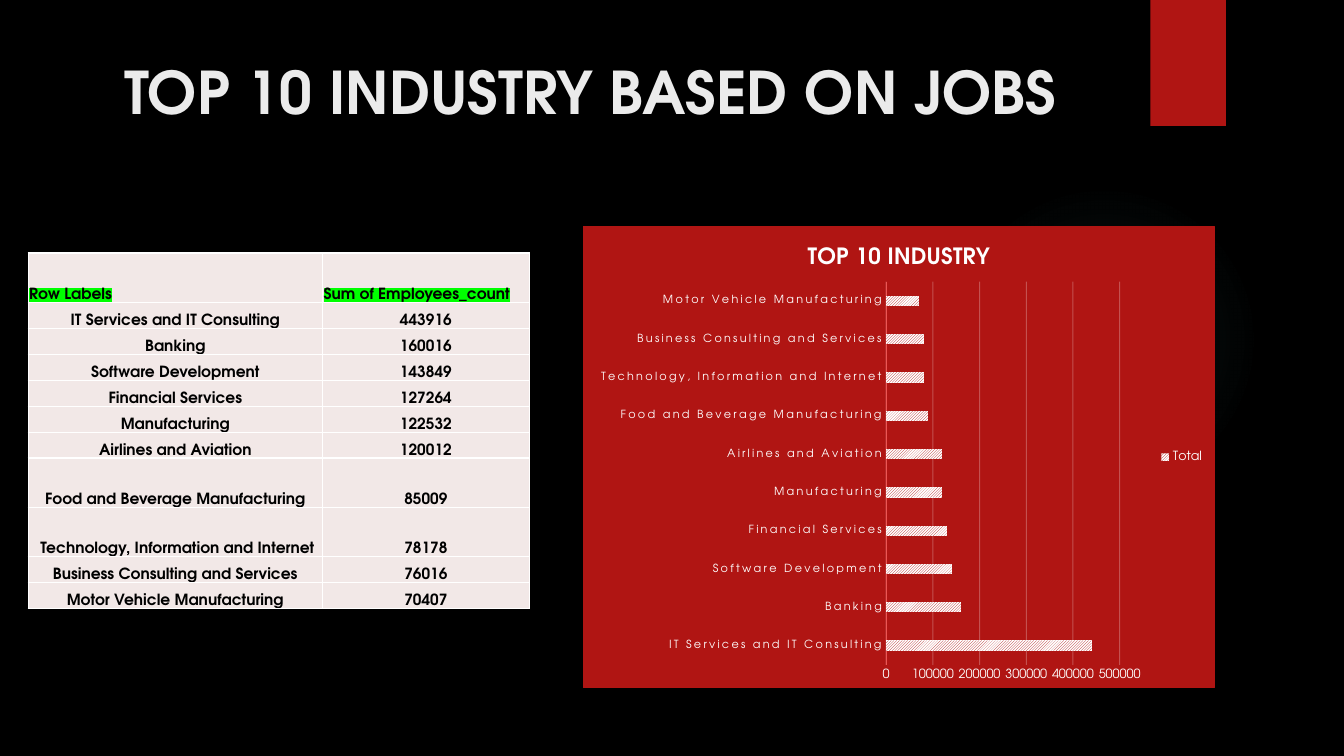
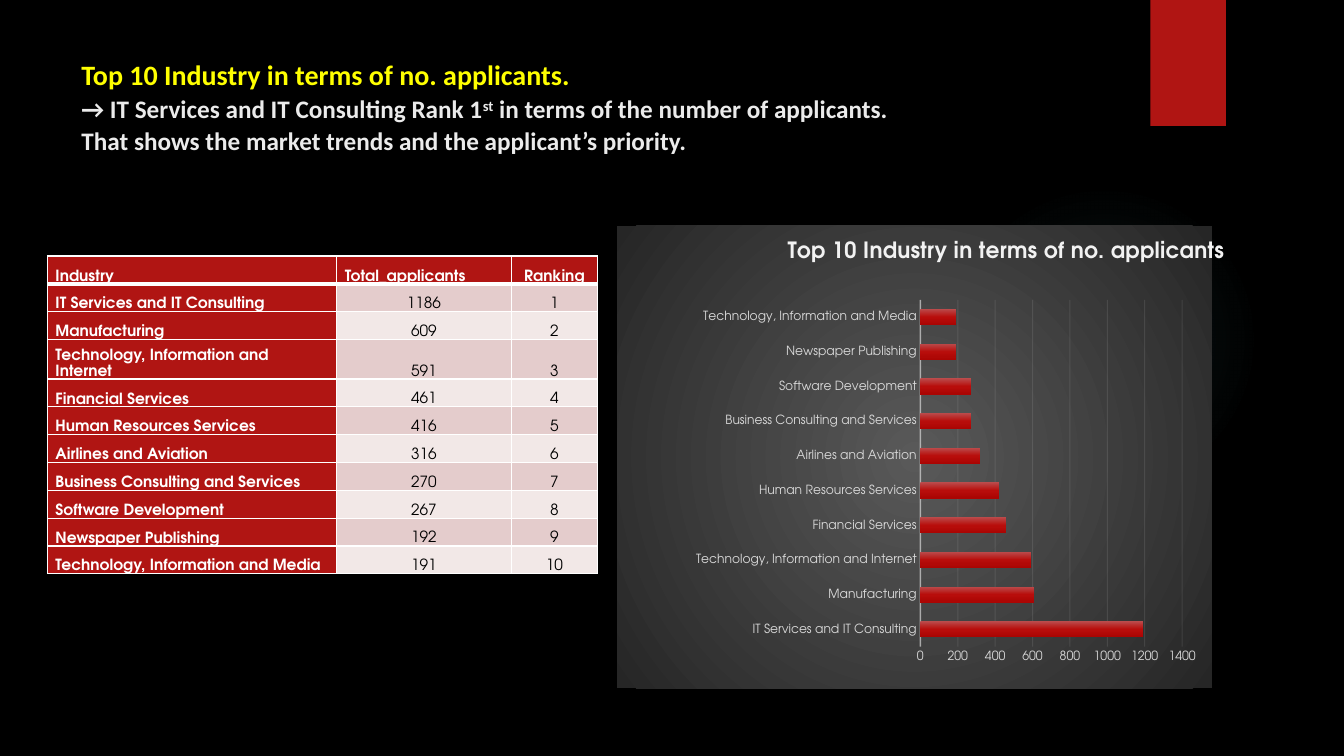
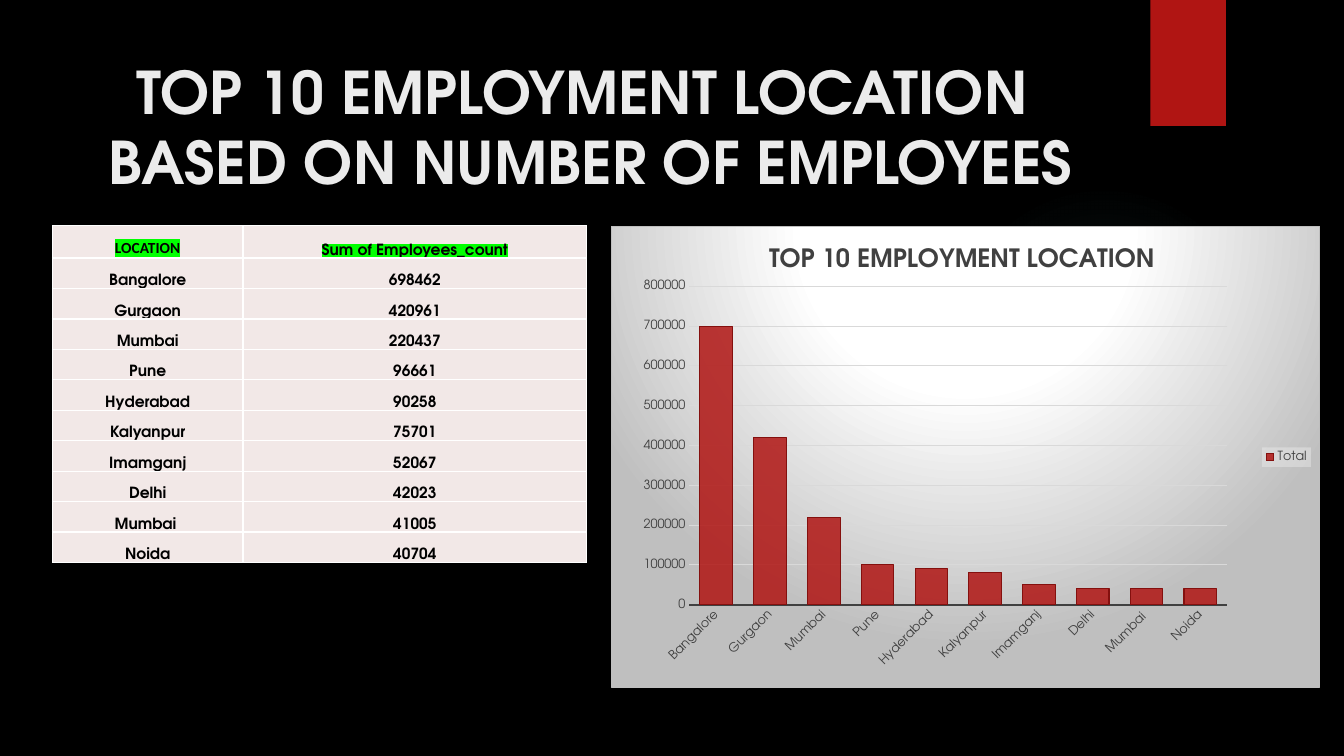
from lxml import etree
from pptx import Presentation
from pptx.chart.data import CategoryChartData
from pptx.dml.color import RGBColor
from pptx.enum.chart import XL_CHART_TYPE as Kind, XL_LEGEND_POSITION as Side, XL_TICK_MARK as Tick
from pptx.enum.dml import MSO_PATTERN as Pattern
from pptx.enum.shapes import MSO_SHAPE as Shape
from pptx.enum.text import MSO_ANCHOR as Anchor, PP_ALIGN as Align
from pptx.oxml.ns import qn
from pptx.util import Inches, Pt

FACE = "TeX Gyre Adventor"
RED, PALE, ROSE, WHITE, BLACK = "B01513", "F2E8E7", "E4CCCC", "FFFFFF", "000000"
LIGHT, DARK, LIME = "EBEBEB", "404040", "00FF00"

JOBS = [
    ("IT Services and IT Consulting", 443916),
    ("Banking", 160016),
    ("Software Development", 143849),
    ("Financial Services", 127264),
    ("Manufacturing", 122532),
    ("Airlines and Aviation", 120012),
    ("Food and Beverage Manufacturing", 85009),
    (" Technology, Information and Internet", 78178),
    ("Business Consulting and Services", 76016),
    ("Motor Vehicle Manufacturing", 70407),
]
SEEKERS = [
    ("IT Services and IT Consulting", 1186),
    ("Manufacturing", 609),
    ("Technology, Information and Internet", 591),
    ("Financial Services", 461),
    ("Human Resources Services", 416),
    ("Airlines and Aviation", 316),
    ("Business Consulting and Services", 270),
    ("Software Development", 267),
    ("Newspaper Publishing", 192),
    ("Technology, Information and Media", 191),
]
CITIES = [
    ("Bangalore", 698462),
    ("Gurgaon", 420961),
    ("Mumbai", 220437),
    ("Pune", 96661),
    ("Hyderabad", 90258),
    ("Kalyanpur", 75701),
    ("Imamganj", 52067),
    ("Delhi", 42023),
    ("Mumbai ", 41005),
    ("Noida", 40704),
]
BRIEF = [
    ("Top 10 Industry in terms of no. applicants.", 20, "FFFF00"),
    ("→ IT Services and IT Consulting Rank 1", 18, LIGHT),
    ("st", 18, LIGHT),
    (" in terms of the number of applicants.", 18, LIGHT),
    ("That shows the market trends and the applicant’s priority.", 18, LIGHT),
]
BREAKS = (0, 3)


def rgb(code):
    return RGBColor.from_string(code)


def style(font, size, color, bold=False, face=FACE):
    font.name, font.size, font.bold = face, Pt(size), bold
    font.color.rgb = rgb(color)


def sub(node, tag, **attrs):
    kid = etree.SubElement(node, qn(tag))
    for key, value in attrs.items():
        kid.set(key, str(value))
    return kid


def fade(node, percent):
    for color in node.iter(qn("a:srgbClr")):
        sub(color, "a:alpha", val=percent * 1000)


def blend(stops, rect=None, angle=90):
    grad = etree.Element(qn("a:gradFill"), rotWithShape="1")
    row = sub(grad, "a:gsLst")
    for pos, color, alpha in stops:
        stop = sub(row, "a:gs", pos=pos * 1000)
        sub(stop, "a:srgbClr", val=color)
        fade(stop, alpha)
    if rect:
        sides = {side: n * 1000 for side, n in zip("ltrb", rect)}
        sub(sub(grad, "a:path", path="circle"), "a:fillToRect", **sides)
    else:
        sub(grad, "a:lin", ang=angle * 60000, scaled=0)
    return grad


def swap(props, grad):
    props.replace(props.find(qn("a:solidFill")), grad)


def deck():
    prs = Presentation()
    prs.slide_width, prs.slide_height = Inches(13.33), Inches(7.5)
    back = prs.slide_master.background.fill
    back.solid()
    back.fore_color.rgb = rgb(BLACK)
    return prs


def page(prs):
    slide = prs.slides.add_slide(prs.slide_layouts[6])
    glow = slide.shapes.add_shape(
        Shape.OVAL, Inches(9.41), Inches(1.83), Inches(3.08), Inches(3.08))
    tab = slide.shapes.add_shape(
        Shape.RECTANGLE, Inches(11.41), 0, Inches(0.75), Inches(1.25))
    for shape in (glow, tab):
        shape.shadow.inherit = False
        shape.fill.solid()
        shape.fill.fore_color.rgb = rgb(RED)
        shape.line.fill.background()
    teal = "50B9C1"
    stops = [(0, teal, 7), (36, teal, 6), (69, teal, 0)]
    swap(glow.element.spPr, blend(stops, (50, 50, 50, 50)))
    box = slide.shapes.add_textbox(
        Inches(0.71), Inches(0.5), Inches(10.29), Inches(1.53))
    box.text_frame.word_wrap = True
    return slide, box.text_frame.paragraphs[0]


def head(par, text):
    par.text = text
    par.alignment = Align.CENTER
    style(par.font, 42, LIGHT, True)


def brief(par):
    par.line_spacing, par.space_after = 1.07, Pt(8)
    for i, (text, size, color) in enumerate(BRIEF):
        run = par.add_run()
        run.text = text
        style(run.font, size, color, True, "Calibri")
        if text == "st":
            run.font._element.set("baseline", "30000")
        if i in BREAKS:
            par.add_line_break()


def edge(cell, low=1):
    props = cell._tc.get_or_add_tcPr()
    for tag, width in (("a:lnL", 1), ("a:lnR", 1), ("a:lnT", 1), ("a:lnB", low)):
        line = sub(props, tag, w=Pt(width))
        sub(sub(line, "a:solidFill"), "a:srgbClr", val=WHITE)


def share(total, fixed, count=11):
    rest = (total - sum(fixed.values())) / (count - len(fixed))
    return [fixed.get(r, rest) for r in range(count)]


def grid(slide, left, top, cols, heights, rows, pad):
    frame = slide.shapes.add_table(
        len(rows), len(cols), Inches(left), Inches(top),
        Inches(sum(cols)), Inches(sum(heights)))
    table = frame.table
    table.first_row = table.horz_banding = False
    for col, width in zip(table.columns, cols):
        col.width = Inches(width)
    for row, height in zip(table.rows, heights):
        row.height = Inches(height)
    for r, row in enumerate(rows):
        for c, value in enumerate(row):
            cell = table.cell(r, c)
            cell.vertical_anchor = Anchor.BOTTOM
            cell.margin_left = cell.margin_right = Inches(pad)
            cell.margin_top = cell.margin_bottom = 0
            par = cell.text_frame.paragraphs[0]
            par.text = str(value)
            yield r, c, cell, par


def paint(cell, color, low=1):
    edge(cell, low)
    cell.fill.solid()
    cell.fill.fore_color.rgb = rgb(color)


def plain(slide, left, top, cols, heights, rows, align, first):
    for r, c, cell, par in grid(slide, left, top, cols, heights, rows, 0.01):
        paint(cell, PALE)
        par.alignment = Align.CENTER if r else align
        style(par.font, 11, BLACK, True, FACE if r or c else first)
        if not r:
            mark = sub(par.runs[0].font._element, "a:highlight")
            sub(mark, "a:srgbClr", val=LIME)


def ranked(slide, left, top, cols, heights, rows):
    for r, c, cell, par in grid(slide, left, top, cols, heights, rows, 0.08):
        key = r == 0 or c == 0
        paint(cell, RED if key else (PALE, ROSE)[r % 2], 1 if r else 3)
        par.alignment = Align.CENTER if c == 2 or not key else Align.LEFT
        par.line_spacing, par.space_after = 1.07, Pt(8)
        style(par.font, 11, WHITE if key else BLACK, key)


def place(node, spot):
    old = node.find(qn("c:layout"))
    if old is None:
        old = etree.Element(qn("c:layout"))
        rich = node.find(qn("c:tx"))
        if rich is not None:
            rich.addnext(old)
        else:
            node.insert(0, old)
    hand = sub(old, "c:manualLayout")
    if len(spot) == 4:
        sub(hand, "c:layoutTarget", val="inner")
    for tag in ("c:xMode", "c:yMode"):
        sub(hand, tag, val="edge")
    for tag, value in zip(("c:x", "c:y", "c:w", "c:h"), spot):
        sub(hand, tag, val=value)


def graph(slide, kind, left, width, data, digits, name, title, gap, lap, ink,
          rule, mesh, fill, spot, border=None, legend=True, small=9):
    feed = CategoryChartData()
    feed.categories = [label for label, _ in data]
    feed.add_series(name, [round(value, digits) for _, value in data])
    chart = slide.shapes.add_chart(
        kind, Inches(left), Inches(2.24), Inches(width), Inches(4.59), feed).chart
    style(chart.font, 10, WHITE)
    text, size, color, space = title
    par = chart.chart_title.text_frame.paragraphs[0]
    par.text = text
    style(par.font, size, color, True)
    par.font._element.set("spc", str(space))
    plot = chart.plots[0]
    plot.gap_width, plot.overlap, plot.vary_by_categories = gap, lap, False
    cat, val = chart.category_axis, chart.value_axis
    for axis, size in ((cat, small), (val, 9)):
        axis.major_tick_mark = axis.minor_tick_mark = Tick.NONE
        style(axis.tick_labels.font, size, ink)
    val.format.line.fill.background()
    val.has_major_gridlines = True
    for form, (color, weight, alpha) in (
            (cat.format, rule), (val.major_gridlines.format, mesh)):
        form.line.color.rgb = rgb(color)
        form.line.width = Pt(weight)
        fade(form.line._get_or_add_ln(), alpha)
    chart.has_legend = legend
    if legend:
        chart.legend.position = Side.RIGHT
        chart.legend.include_in_layout = False
        style(chart.legend.font, 9, ink)
    root = chart.element.find(qn("c:chart"))
    place(root.find(qn("c:plotArea")), spot)
    props = etree.Element(qn("c:spPr"))
    props.append(fill)
    line = sub(props, "a:ln", w=Pt(0.75))
    if border:
        sub(sub(line, "a:solidFill"), "a:srgbClr", val=border)
    else:
        sub(line, "a:noFill")
    root.addnext(props)
    bars = plot.series[0].format
    bars.fill.solid()
    bars.fill.fore_color.rgb = rgb(RED)
    return chart, bars


def look(chart):
    return chart.element.find(".//" + qn("c:ser")).find(qn("c:spPr"))


def jobs(prs):
    slide, par = page(prs)
    head(par, "TOP 10 INDUSTRY BASED ON JOBS")
    flat = etree.Element(qn("a:solidFill"))
    sub(flat, "a:srgbClr", val=RED)
    chart, bars = graph(
        slide, Kind.BAR_CLUSTERED, 5.78, 6.27, JOBS, -4, "Total",
        ("TOP 10 INDUSTRY", 16, WHITE, 30), 269, -20, WHITE,
        ("ED5654", 0.25, 100), (WHITE, 0.75, 25), flat,
        (0.48, 0.12, 0.37, 0.83), RED, small=8)
    chart.category_axis.tick_labels.font._element.set("spc", "150")
    bars.fill.patterned()
    bars.fill.pattern = Pattern.LIGHT_UPWARD_DIAGONAL
    bars.fill.fore_color.rgb = rgb(RED)
    bars.fill.back_color.rgb = rgb(WHITE)
    plain(slide, 0.28, 2.51, (2.92, 2.05), share(3.53, {0: 0.49, 7: 0.49, 8: 0.49}),
          [("Row Labels", "Sum of Employees_count")] + JOBS, Align.LEFT, FACE)


def seekers(prs):
    slide, par = page(prs)
    brief(par)
    fill = blend([(0, "595959", 100), (100, "262626", 100)], (50, 50, 50, 50))
    chart, _ = graph(
        slide, Kind.BAR_CLUSTERED, 6.12, 6.07, SEEKERS, -1, "Series 1",
        ("Top 10 Industry in terms of no. applicants", 16, "F2F2F2", 30),
        115, -20, "D9D9D9", ("F2F2F2", 1, 54), ("F2F2F2", 0.75, 10), fill,
        (0.51, 0.16, 0.44, 0.75), legend=False)
    place(chart.chart_title._element, (0.28, 0.02))
    shine = [(0, "BB4C4C", 100), (50, "B80D0B", 100), (100, "AA0503", 100)]
    swap(look(chart), blend(shine))
    rows = [("Industry", "Total_applicants", "Ranking")]
    rows += [(*row, rank) for rank, row in enumerate(SEEKERS, 1)]
    ranked(slide, 0.47, 2.54, (2.87, 1.73, 0.86), share(3.11, {3: 0.35}), rows)


def cities(prs):
    slide, par = page(prs)
    head(par, "TOP 10 EMPLOYMENT LOCATION \nBASED ON NUMBER OF EMPLOYEES")
    stops = [(0, WHITE, 100), (39, WHITE, 100), (100, "BFBFBF", 100)]
    chart, bars = graph(
        slide, Kind.COLUMN_CLUSTERED, 6.06, 7.03, CITIES, -4, "Total",
        ("TOP 10 EMPLOYMENT LOCATION ", 18, DARK, 0), 65, 0, DARK,
        (DARK, 1.5, 100), ("D9D9D9", 0.75, 100),
        blend(stops, (50, -80, 50, 180)), (0.11, 0.13, 0.76, 0.69), "BFBFBF")
    fade(look(chart), 85)
    bars.line.color.rgb = rgb("84100E")
    bars.line.width = Pt(0.75)
    plate = etree.Element(qn("c:spPr"))
    sub(sub(plate, "a:solidFill"), "a:srgbClr", val="F2F2F2")
    fade(plate, 39)
    chart.element.find(".//" + qn("c:legend")).find(qn("c:txPr")).addprevious(plate)
    plain(slide, 0.52, 2.24, (1.89, 3.41), share(3.34, {0: 0.32}),
          [("LOCATION", "Sum of Employees_count")] + CITIES, Align.CENTER, "Calibri")


def main():
    prs = deck()
    for build in (jobs, seekers, cities):
        build(prs)
    prs.save("out.pptx")


if __name__ == "__main__":
    main()
